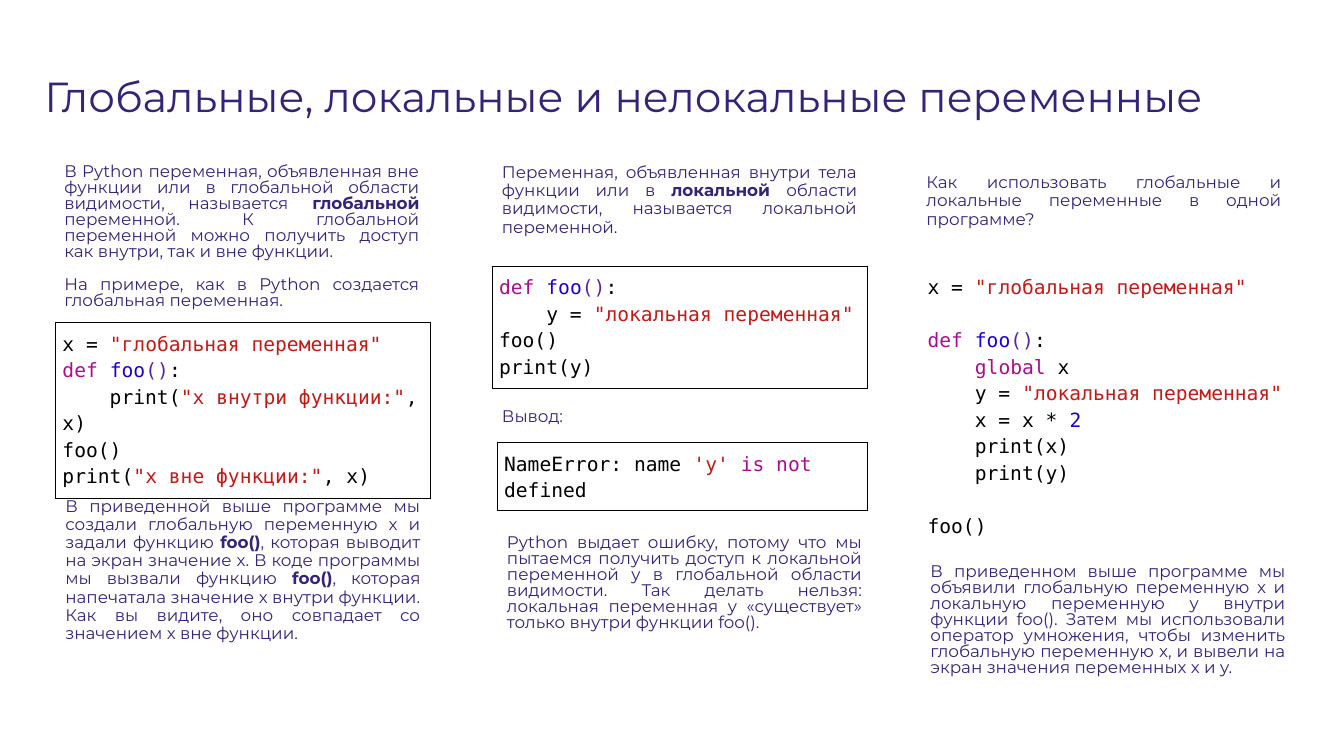
from dataclasses import dataclass

import lxml.etree
import pptx
import pptx.dml.color
import pptx.enum.text
import pptx.oxml
import pptx.oxml.ns
import pptx.util

Inches = pptx.util.Inches
Pt = pptx.util.Pt
qn = pptx.oxml.ns.qn

COLORS = {
    "prose": "352379",
    "plain": "000000",
    "string": "C41A16",
    "keyword": "AA0D91",
    "name": "1C00CF",
    "parens": "5C2699",
    "border": "000000",
}
PROSE_FONT = "Montserrat"
CODE_FONT = "DejaVu Sans Mono"
COLUMN_WIDTH = 3.72

Span = tuple[str, str]


@dataclass
class Prose:
    """Justified text; words between double asterisks are bold."""
    left: float
    top: float
    height: float
    spacing: float
    paragraphs: list[str]


@dataclass
class Code:
    left: float
    top: float
    height: float
    spans: list[Span]
    width: float = COLUMN_WIDTH
    bordered: bool = True


DEF_FOO: list[Span] = [("keyword", "def "), ("name", "foo"), ("parens", "()")]
GLOBAL_STRING: Span = ("string", '"глобальная переменная"')
LOCAL_STRING: Span = ("string", '"локальная переменная"')

PROSE_BLOCKS = [
    Prose(0.54, 1.58, 1.76, 0.8, [
        "В Python переменная, объявленная вне функции или в глобальной области "
        "видимости, называется **глобальной **переменной. К глобальной переменной "
        "можно получить доступ как внутри, так и вне функции.",
        "На примере, как в Python создается глобальная переменная.",
    ]),
    Prose(0.55, 4.89, 1.86, 0.9, [
        "В приведенной выше программе мы создали глобальную переменную x и задали "
        "функцию **foo()**, которая выводит на экран значение x. В коде программы мы "
        "вызвали функцию **foo()**, которая напечатала значение x внутри функции. "
        "Как вы видите, оно совпадает со значением x вне функции.",
    ]),
    Prose(4.88, 1.58, 1.1, 0.9, [
        "Переменная, объявленная внутри тела функции или в **локальной **области "
        "видимости, называется локальной переменной.",
    ]),
    Prose(4.88, 4, 0.35, 0.9, ["Вывод:"]),
    Prose(4.93, 5.26, 1.1, 0.8, [
        "Python выдает ошибку, потому что мы пытаемся получить доступ к локальной "
        "переменной y в глобальной области видимости. Так делать нельзя: локальная "
        "переменная y «существует» только внутри функции foo().",
    ]),
    Prose(9.09, 1.68, 0.9, 0.9, [
        "Как использовать глобальные и локальные переменные в одной программе?",
    ]),
    Prose(9.13, 5.55, 1.27, 0.8, [
        "В приведенном выше программе мы объявили глобальную переменную x и локальную "
        "переменную y внутри функции foo(). Затем мы использовали оператор умножения, "
        "чтобы изменить глобальную переменную x, и вывели на экран значения "
        "переменных x и y.",
    ]),
]

CODE_BLOCKS = [
    Code(0.55, 3.2, 1.7, [
        ("plain", "x = "), GLOBAL_STRING, ("plain", "\n"), *DEF_FOO,
        ("plain", ":\n    print("), ("string", '"x внутри функции:"'),
        ("plain", ", x)\nfoo()\nprint("), ("string", '"x вне функции:"'),
        ("plain", ", x)"),
    ]),
    Code(4.88, 2.64, 1.15, [
        *DEF_FOO, ("plain", ":\n    y = "), LOCAL_STRING,
        ("plain", "\nfoo()\nprint(y)"),
    ]),
    Code(4.93, 4.39, 0.65, [
        ("plain", "NameError: name "), ("string", "'y' "),
        ("keyword", "is not"), ("plain", " defined"),
    ], width=3.67),
    Code(9.13, 2.64, 2.75, [
        ("plain", "x = "), GLOBAL_STRING, ("plain", "\n\n"), *DEF_FOO,
        ("plain", ":\n    "), ("keyword", "global"), ("plain", " x\n    y = "),
        LOCAL_STRING, ("plain", "\n    x = x * "), ("name", "2"),
        ("plain", "\n    print(x)\n    print(y)\n\nfoo()"),
    ], bordered=False),
]


def add_span(para, text: str, font_name: str, size: float, color: str,
             bold: bool = False) -> None:
    span = para.add_run()
    span.text = text
    span.font.name = font_name
    span.font.size = Pt(size)
    span.font.bold = bold
    span.font.color.rgb = pptx.dml.color.RGBColor.from_string(COLORS[color])


def add_prose(page, prose: Prose) -> None:
    box = page.shapes.add_textbox(Inches(prose.left), Inches(prose.top),
                                  Inches(COLUMN_WIDTH), Inches(prose.height))
    frame = box.text_frame
    frame.word_wrap = True
    for index, text in enumerate(prose.paragraphs):
        para = frame.add_paragraph() if index else frame.paragraphs[0]
        para.alignment = pptx.enum.text.PP_ALIGN.JUSTIFY
        para.line_spacing = prose.spacing
        para.space_before = Pt(12 if index else 0)
        for part, piece in enumerate(text.split("**")):
            add_span(para, piece, PROSE_FONT, 12, "prose", bold=part % 2 == 1)


def set_borders(cell, visible: bool) -> None:
    properties = cell._tc.get_or_add_tcPr()
    for side in ("a:lnL", "a:lnR", "a:lnT", "a:lnB"):
        line = lxml.etree.SubElement(properties, qn(side), w=str(Pt(0.75)))
        if visible:
            fill = lxml.etree.SubElement(line, qn("a:solidFill"))
            lxml.etree.SubElement(fill, qn("a:srgbClr"), val=COLORS["border"])
        else:
            lxml.etree.SubElement(line, qn("a:noFill"))


def add_code(page, code: Code) -> None:
    table = page.shapes.add_table(1, 1, Inches(code.left), Inches(code.top),
                                  Inches(code.width), Inches(code.height)).table
    table.first_row = False
    table.horz_banding = False
    cell = table.cell(0, 0)
    cell.margin_left = cell.margin_right = Inches(0.07)
    cell.margin_top = cell.margin_bottom = Inches(0.07)
    set_borders(cell, code.bordered)
    cell.fill.background()
    para = cell.text_frame.paragraphs[0]
    para.line_spacing = 1.15
    for color, text in code.spans:
        for index, piece in enumerate(text.split("\n")):
            if index:
                para.add_line_break()
            if piece:
                add_span(para, piece, CODE_FONT, 14, color)
    for line_break in para._p.findall(qn("a:br")):
        style = lxml.etree.SubElement(line_break, qn("a:rPr"), sz="1400")
        lxml.etree.SubElement(style, qn("a:latin"), typeface=CODE_FONT)


def add_title(page, text: str) -> None:
    title = page.shapes.title
    title.left, title.top = Inches(0.34), Inches(0.65)
    title.width, title.height = Inches(12.7), Inches(1.19)
    frame = title.text_frame
    frame.vertical_anchor = pptx.enum.text.MSO_ANCHOR.TOP
    para = frame.paragraphs[0]
    para.alignment = pptx.enum.text.PP_ALIGN.LEFT
    add_span(para, text, PROSE_FONT, 30, "prose")


def main() -> None:
    deck = pptx.Presentation()
    deck.slide_width, deck.slide_height = Inches(13.33), Inches(7.5)
    page = deck.slides.add_slide(deck.slide_layouts.get_by_name("Title Only"))
    add_title(page, "Глобальные, локальные и нелокальные переменные")
    for prose in PROSE_BLOCKS:
        add_prose(page, prose)
    for code in CODE_BLOCKS:
        add_code(page, code)
    deck.save("out.pptx")


if __name__ == "__main__":
    main()
